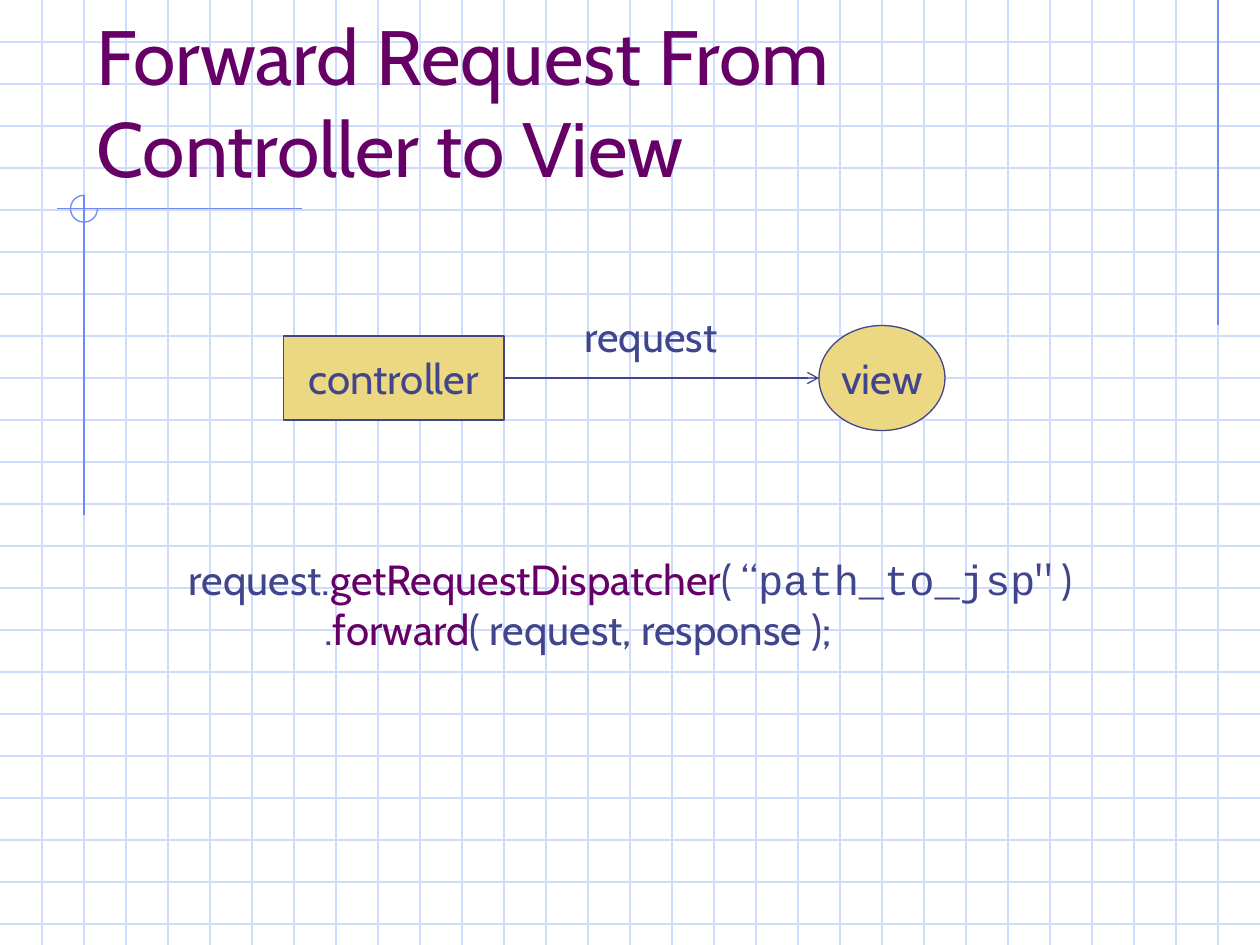
from lxml.etree import SubElement as Sub
from pptx import Presentation
from pptx.dml.color import RGBColor as Rgb
from pptx.enum.shapes import MSO_CONNECTOR as Conn, MSO_SHAPE as Kind
from pptx.enum.text import MSO_ANCHOR as Anchor, PP_ALIGN as Align
from pptx.oxml.ns import qn
from pptx.util import Inches, Pt

COLS, ROWS = 30, 22.5
GRID = Rgb(0xCF, 0xDB, 0xFD)
TRIM = Rgb(0x6F, 0x89, 0xF7)
PLUM = Rgb(0x66, 0x00, 0x66)
NAVY = Rgb(0x40, 0x45, 0x8C)
GOLD = Rgb(0xEC, 0xD8, 0x82)
SANS, MONO = "Cabin", "Courier New"


def cell(count):
    return Inches(count / 3)


def write(para, text, size=24, color=NAVY, font=SANS):
    run = para.add_run()
    run.text = text
    run.font.size = Pt(size)
    run.font.name = font
    run.font.color.rgb = color


def add_line(slide, start, end, color, arrow=False):
    line = slide.shapes.add_connector(Conn.STRAIGHT, *map(cell, start + end))
    line.line.color.rgb = color
    line.line.width = Pt(0.75)
    if arrow:
        Sub(line.line._get_or_add_ln(), qn("a:tailEnd"), type="arrow")
    Sub(line._element.spPr, qn("a:effectLst"))


def add_form(slide, kind, box, color, fill=None):
    form = slide.shapes.add_shape(kind, *map(cell, box))
    form.shadow.inherit = False
    form.line.color.rgb = color
    form.line.width = Pt(0.75)
    if fill is None:
        form.fill.background()
    else:
        form.fill.solid()
        form.fill.fore_color.rgb = fill
    return form


def add_node(slide, kind, box, text):
    frame = add_form(slide, kind, box, NAVY, GOLD).text_frame
    frame.word_wrap = False
    frame.vertical_anchor = Anchor.MIDDLE
    frame.paragraphs[0].alignment = Align.CENTER
    write(frame.paragraphs[0], text)


def add_box(slide, box, anchor=Anchor.TOP):
    frame = slide.shapes.add_textbox(*map(cell, box)).text_frame
    frame.word_wrap = True
    frame.vertical_anchor = anchor
    return frame


def add_grid(slide):
    for row in range(1, int(ROWS) + 1):
        add_line(slide, (0, row), (COLS, row), GRID)
    for col in range(1, COLS):
        add_line(slide, (col, 0), (col, ROWS), GRID)


def add_trim(slide):
    hub, mid, rad = 2, 4.97, 0.32
    add_line(slide, (COLS - 1, 0), (COLS - 1, 7.75), TRIM)
    add_line(slide, (7.2, mid), (1.35, mid), TRIM)
    add_line(slide, (hub, mid - rad), (hub, 12.27), TRIM)
    arc = add_form(slide, Kind.ARC, (hub - rad, mid - rad, 2 * rad, 2 * rad), TRIM)
    arc.adjustments[0] = 0
    arc.adjustments[1] = 162


def add_code(slide):
    frame = add_box(slide, (4.2, 13.02, 23.4, 2.7))
    first, second = frame.paragraphs[0], frame.add_paragraph()
    tabs = Sub(second._p.get_or_add_pPr(), qn("a:tabLst"))
    Sub(tabs, qn("a:tab"), pos=str(Inches(1)), algn="l")
    write(first, "request.")
    write(first, "getRequestDispatcher", color=PLUM)
    write(first, "( “")
    write(first, "path_to_jsp", font=MONO)
    write(first, '" )')
    write(second, "\t .")
    write(second, "forward", color=PLUM)
    write(second, "( request, response );")


def main():
    deck = Presentation()
    deck.slide_width, deck.slide_height = cell(COLS), cell(ROWS)
    slide = deck.slides.add_slide(deck.slide_layouts[6])
    add_grid(slide)
    add_trim(slide)
    title = add_box(slide, (2, 1, 25.5, 3.75), Anchor.BOTTOM)
    write(title.paragraphs[0], "Forward Request From Controller to View", size=44, color=PLUM)
    add_node(slide, Kind.RECTANGLE, (6.75, 8, 5.25, 2), "controller")
    add_node(slide, Kind.OVAL, (19.5, 7.75, 3, 2.5), "view")
    add_line(slide, (12, 9), (19.5, 9), NAVY, arrow=True)
    label = add_box(slide, (13.62, 7.25, 4.2, 1.5))
    write(label.paragraphs[0], "request")
    add_code(slide)
    deck.save("out.pptx")


if __name__ == "__main__":
    main()
